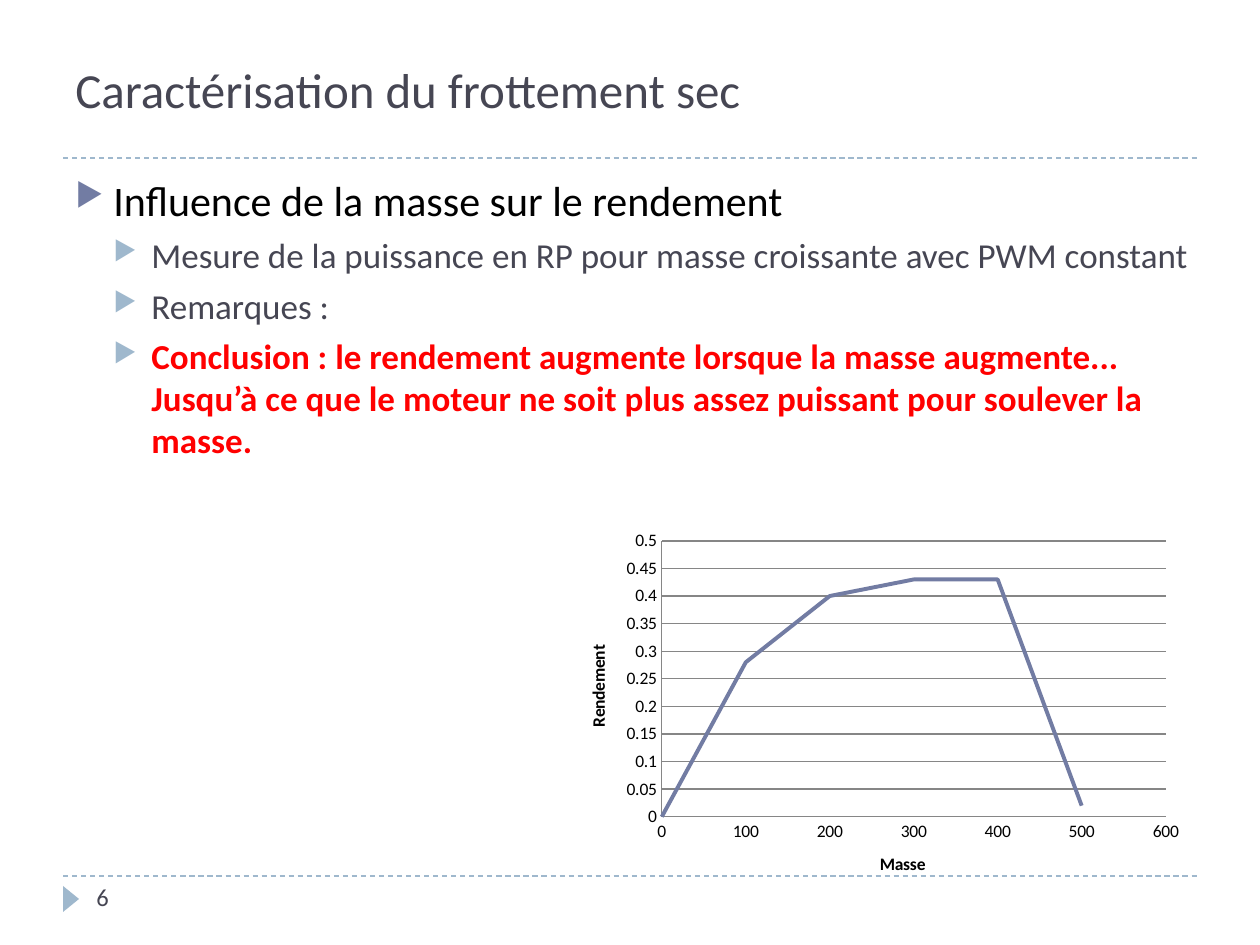
"""Slide on how mass affects efficiency: title, bullets and a smooth scatter chart."""
from lxml import etree
from pptx import Presentation, util as u
from pptx.chart.data import XyChartData
from pptx.dml.color import RGBColor
from pptx.enum import chart as ch, dml, shapes, text
from pptx.oxml import parse_xml
from pptx.oxml.ns import nsdecls, qn

PX = 914400 / 126
THEME = dict(font="Calibri", ink="464653", black="000000", alert="FF0000", accent="727CA3",
             pale="9FB8CD", grid="868686", title=28, head=24, body=20, number=14, chart=10)


def px(*values):
    return [u.Emu(round(v * PX)) for v in values]


def style(font, size, color, bold=False):
    values = dict(name=THEME["font"], size=u.Pt(THEME[size]), bold=bold)
    for key, value in values.items():
        setattr(font, key, value)
    font.color.rgb = RGBColor.from_string(THEME[color])


prs = Presentation()
prs.slide_width, prs.slide_height = px(1260, 945)
s = prs.slides.add_slide(prs.slide_layouts[6])

for y in (876, 158):
    rule = s.shapes.add_connector(shapes.MSO_CONNECTOR.STRAIGHT, *px(63, y, 1197, y))
    rule.line.color.rgb = RGBColor.from_string(THEME["pale"])
    rule.line.width = u.Pt(0.75)
    rule.line.dash_style = dml.MSO_LINE.DASH
    etree.SubElement(rule._element.spPr, qn("a:effectLst"))

marker = s.shapes.add_shape(shapes.MSO_SHAPE.ISOSCELES_TRIANGLE, *px(58, 891, 26, 16))
marker.rotation = 90
marker.shadow.inherit = False
marker.fill.solid()
marker.fill.fore_color.rgb = RGBColor.from_string(THEME["pale"])
marker.line.fill.background()

TOP, MIDDLE = text.MSO_ANCHOR.TOP, text.MSO_ANCHOR.MIDDLE
BOXES = [
    ((63, 21, 1133, 136), MIDDLE, [("Caractérisation du frottement sec", "title", "ink", None)]),
    ((84, 876, 273, 50), TOP, [("6", "number", "ink", None)]),
    ((63, 168, 1153, 680), TOP, [
        ("Influence de la masse sur le rendement", "head", "black", 0),
        ("Mesure de la puissance en RP pour masse croissante avec PWM constant", "body", "ink", 1),
        ("Remarques :", "body", "ink", 1),
        ("Conclusion : le rendement augmente lorsque la masse augmente... Jusqu’à ce que "
         "le moteur ne soit plus assez puissant pour soulever la masse.", "body", "alert", 1),
    ]),
]
for place, anchor, lines in BOXES:
    tf = s.shapes.add_textbox(*px(*place)).text_frame
    tf.word_wrap = True
    tf.vertical_anchor = anchor
    for i, (words, size, color, level) in enumerate(lines):
        p = tf.add_paragraph() if i else tf.paragraphs[0]
        r = p.add_run()
        r.text = words
        style(r.font, size, color, color == "alert")
        if level is None:
            continue
        p.level = level
        p.space_before = u.Pt(6 - level)
        pPr = p._p.get_or_add_pPr()
        indent = px(38)[0]
        pPr.set("marL", str(indent * (level + 1)))
        pPr.set("indent", str(-indent))
        bullet = etree.SubElement(pPr, qn("a:buClr"))
        etree.SubElement(bullet, qn("a:srgbClr"), val=THEME["pale" if level else "accent"])
        etree.SubElement(pPr, qn("a:buSzPct"), val="76000")
        etree.SubElement(pPr, qn("a:buChar"), char="▶")

data = XyChartData()
series = data.add_series("Rendement")
for mass, efficiency in zip(range(0, 600, 100), (0, 0.28, 0.4, 0.43, 0.43, 0.02)):
    series.add_data_point(mass, efficiency)
chart = s.shapes.add_chart(ch.XL_CHART_TYPE.XY_SCATTER_SMOOTH_NO_MARKERS,
                           *px(561, 522, 630, 378), data).chart
chart.has_legend = chart.has_title = False
style(chart.font, "chart", "black")
plot = chart.plots[0]
plot.vary_by_categories = False
curve = plot.series[0]
curve.smooth = True
curve.marker.style = ch.XL_MARKER_STYLE.NONE
curve.format.line.color.rgb = RGBColor.from_string(THEME["accent"])
curve.format.line.width = u.Pt(2.25)

AXES = [(chart.category_axis, "Masse", 600, 100, False, "General"),
        (chart.value_axis, "Rendement", 0.5, 0.05, True, "General")]
for axis, name, top, step, grid, number_format in AXES:
    values = dict(minimum_scale=0, maximum_scale=top, major_unit=step, has_major_gridlines=grid,
                  major_tick_mark=ch.XL_TICK_MARK.NONE, minor_tick_mark=ch.XL_TICK_MARK.NONE)
    for key, value in values.items():
        setattr(axis, key, value)
    axis.tick_labels.number_format = number_format
    axis.tick_labels.number_format_is_linked = False
    lines = [axis.format.line] + ([axis.major_gridlines.format.line] if grid else [])
    for line in lines:
        line.color.rgb = RGBColor.from_string(THEME["grid"])
        line.width = u.Pt(0.75)
    r = axis.axis_title.text_frame.paragraphs[0].add_run()
    r.text = name
    style(r.font, "chart", "black", True)

area = chart._chartSpace.chart.plotArea
for old in area.findall(qn("c:layout")):
    area.remove(old)
frame = "".join(f'<c:{tag} val="{val}"/>' for tag, val in (
    ("layoutTarget", "inner"), ("xMode", "edge"), ("yMode", "edge"),
    ("x", 0.16), ("y", 0.05), ("w", 0.8), ("h", 0.73)))
area.insert(0, parse_xml(f'<c:layout {nsdecls("c")}><c:manualLayout>{frame}'
                         '</c:manualLayout></c:layout>'))

prs.save("out.pptx")
